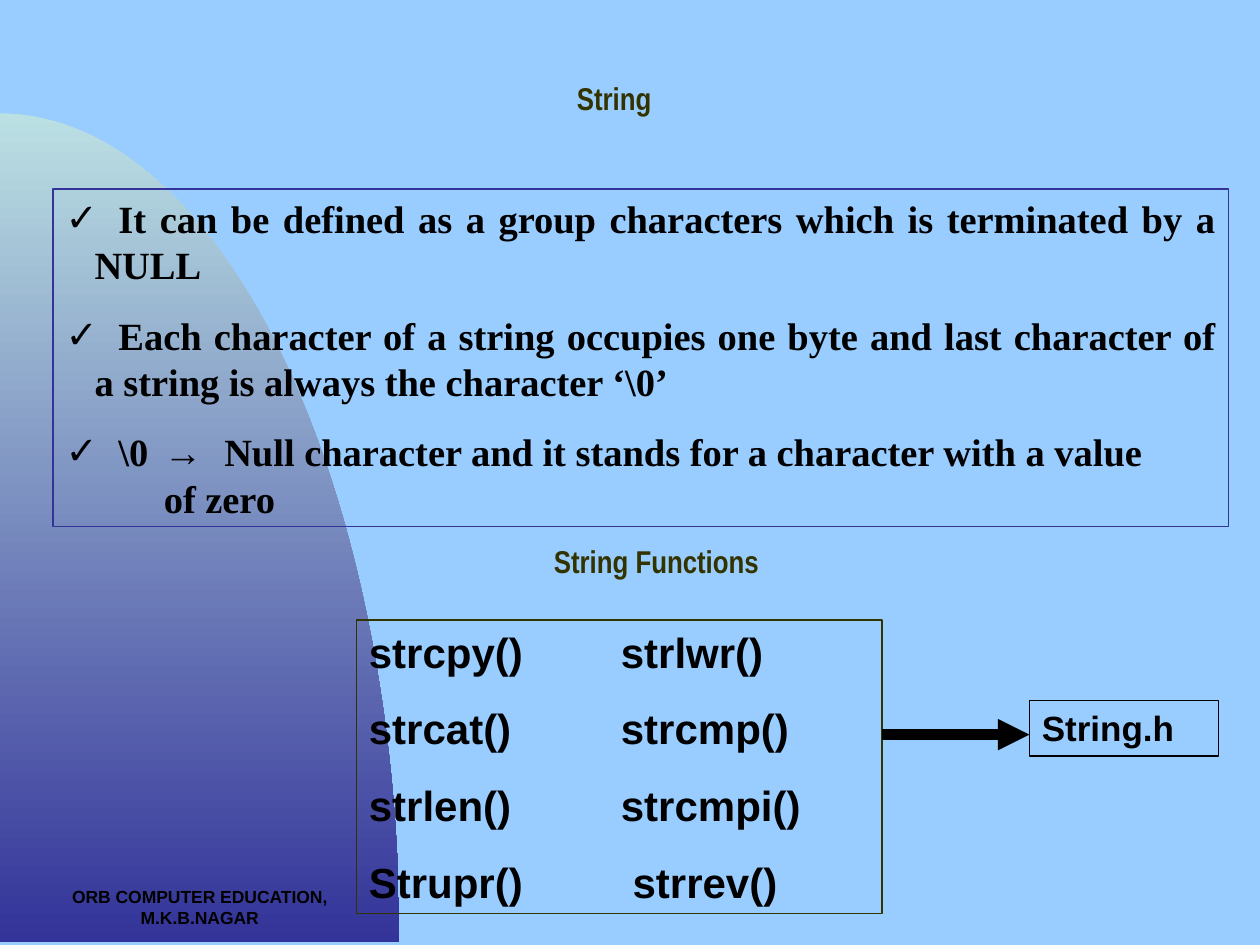
from math import cos, sin, pi
from lxml.etree import SubElement
from pptx import Presentation
from pptx.dml.color import RGBColor
from pptx.enum.shapes import MSO_CONNECTOR, MSO_SHAPE
from pptx.enum.text import MSO_ANCHOR, MSO_AUTO_SIZE, PP_ALIGN
from pptx.oxml.ns import qn
from pptx.util import Inches, Pt

SKY = RGBColor(0x99, 0xCC, 0xFF)
MINT = RGBColor(0xBB, 0xE0, 0xE3)
NAVY = RGBColor(0x33, 0x33, 0x99)
OLIVE = RGBColor(0x33, 0x33, 0x00)
BLACK = RGBColor(0, 0, 0)
SERIF, SANS, NARROW = "Times New Roman", "Arial", "Arial Narrow"

TITLE = "String"
SUBTITLE = "String Functions"
FOOTER = "ORB COMPUTER EDUCATION, M.K.B.NAGAR"
HEADER = "String.h"
# Each point is a list of (text, font) runs
POINTS = [
    [("\tIt can be defined as a group characters which is terminated by a NULL", SERIF)],
    [("\tEach character of a string occupies one byte and last character of "
      "a string is always the character ‘\\0’", SERIF)],
    [("\t\\0\t", SERIF), ("→", SANS),
     ("\tNull character and it stands for a character with a value\v\t\tof zero", SERIF)],
]
CALLS = [("strcpy()", "strlwr()"), ("strcat()", "strcmp()"),
         ("strlen()", "strcmpi()"), ("Strupr()", " strrev()")]

# Left, top, width, height in inches
TITLE_AT = (3.5, 0.58, 2.75, 0.62)
POINTS_AT = (0.42, 1.5, 9.33, 2.68)
SUBTITLE_AT = (3.25, 4.25, 3.92, 0.58)
CALLS_AT = (2.83, 4.92, 4.17, 2.33)
HEADER_AT = (8.17, 5.56, 1.5, 0.44)
FOOTER_AT = (0, 6.98, 3.17, 0.52)
ARC_WIDE, ARC_HIGH, ARC_BASE = 3.17, 6.58, 7.48
ARROW_Y = 5.83
HANG = 0.23
POINT_STOPS = (0.42, 0.78, 1.26)
CALL_STOP = 2


def place(shape, at):
    shape.left, shape.top, shape.width, shape.height = map(Inches, at)
    frame = shape.text_frame
    frame.word_wrap = True
    frame.auto_size = MSO_AUTO_SIZE.NONE
    frame.vertical_anchor = MSO_ANCHOR.TOP
    return frame


def write(para, runs, size, color=BLACK, align=PP_ALIGN.LEFT):
    para.alignment = align
    for text, face in runs:
        for i, part in enumerate(text.split("\v")):
            if i:
                para.add_line_break()
            run = para.add_run()
            run.text = part
            font = run.font
            font.name, font.size, font.bold = face, Pt(size), True
            font.color.rgb = color


def add_para(frame, index, gap):
    para = frame.add_paragraph() if index else frame.paragraphs[0]
    para.line_spacing = 1.0
    para.space_before = Pt(gap if index else 0)
    return para


def add_tabs(para, *stops):
    tabs = SubElement(para._p.get_or_add_pPr(), qn("a:tabLst"))
    for stop in stops:
        SubElement(tabs, qn("a:tab"), pos=str(Inches(stop)), algn="l")


def add_check(para):
    props = para._p.get_or_add_pPr()
    props.set("marL", str(Inches(HANG)))
    props.set("indent", str(-Inches(HANG)))
    tint = SubElement(props, qn("a:buClr"))
    SubElement(tint, qn("a:srgbClr"), val=str(BLACK))
    SubElement(props, qn("a:buChar"), char="✓")


def frame_box(shapes, at, color):
    box = shapes.add_shape(MSO_SHAPE.RECTANGLE, *map(Inches, at))
    box.shadow.inherit = False
    box.fill.background()
    box.line.color.rgb, box.line.width = color, Pt(0.75)
    return place(box, at)


def add_arc(shapes, steps=90):
    """Quarter ellipse behind everything, shaded from top to bottom."""
    turns = [pi / 2 * i / steps for i in range(steps + 1)]
    rim = [(Inches(ARC_WIDE * sin(t)), Inches(ARC_BASE - ARC_HIGH * cos(t)))
           for t in turns]
    maker = shapes.build_freeform(*rim[0])
    maker.add_line_segments(rim[1:] + [(0, Inches(ARC_BASE))], close=True)
    arc = maker.convert_to_shape()
    arc.shadow.inherit = False
    arc.line.fill.background()
    arc.fill.gradient()
    arc.fill.gradient_angle = 270
    for stop, color, pos in zip(arc.fill.gradient_stops, (MINT, NAVY), (0, 1)):
        stop.color.rgb, stop.position = color, pos
    shapes._spTree.insert(2, arc._element)


def add_arrow(shapes):
    start = CALLS_AT[0] + CALLS_AT[2]
    arrow = shapes.add_connector(MSO_CONNECTOR.STRAIGHT, Inches(start), Inches(ARROW_Y),
                                 Inches(HEADER_AT[0]), Inches(ARROW_Y))
    arrow.line.color.rgb, arrow.line.width = BLACK, Pt(6)
    SubElement(arrow.line._get_or_add_ln(), qn("a:tailEnd"), type="triangle")
    SubElement(arrow._element.spPr, qn("a:effectLst"))


def main():
    deck = Presentation()
    deck.slide_width, deck.slide_height = Inches(10), Inches(7.5)
    slide = deck.slides.add_slide(deck.slide_layouts[1])
    shapes = slide.shapes
    slide.background.fill.solid()
    slide.background.fill.fore_color.rgb = SKY
    add_arc(shapes)

    title = place(shapes.title, TITLE_AT)
    write(title.paragraphs[0], [(TITLE, NARROW)], 18, OLIVE, PP_ALIGN.CENTER)

    body = slide.placeholders[1]
    body.line.color.rgb, body.line.width = NAVY, Pt(0.75)
    frame = place(body, POINTS_AT)
    for i, runs in enumerate(POINTS):
        para = add_para(frame, i, 13.8)
        add_check(para)
        add_tabs(para, *POINT_STOPS)
        last = i == len(POINTS) - 1
        write(para, runs, 22, align=PP_ALIGN.LEFT if last else PP_ALIGN.JUSTIFY)

    frame = frame_box(shapes, CALLS_AT, OLIVE)
    for i, pair in enumerate(CALLS):
        para = add_para(frame, i, 15)
        add_tabs(para, CALL_STOP)
        write(para, [("\t".join(pair), SANS)], 24)

    header = frame_box(shapes, HEADER_AT, BLACK)
    write(header.paragraphs[0], [(HEADER, SANS)], 20)
    add_arrow(shapes)

    for at, text, face, size, color in [(SUBTITLE_AT, SUBTITLE, NARROW, 18, OLIVE),
                                        (FOOTER_AT, FOOTER, SANS, 10, BLACK)]:
        label = place(shapes.add_textbox(*map(Inches, at)), at)
        write(label.paragraphs[0], [(text, face)], size, color, PP_ALIGN.CENTER)

    deck.save("out.pptx")


if __name__ == "__main__":
    main()
